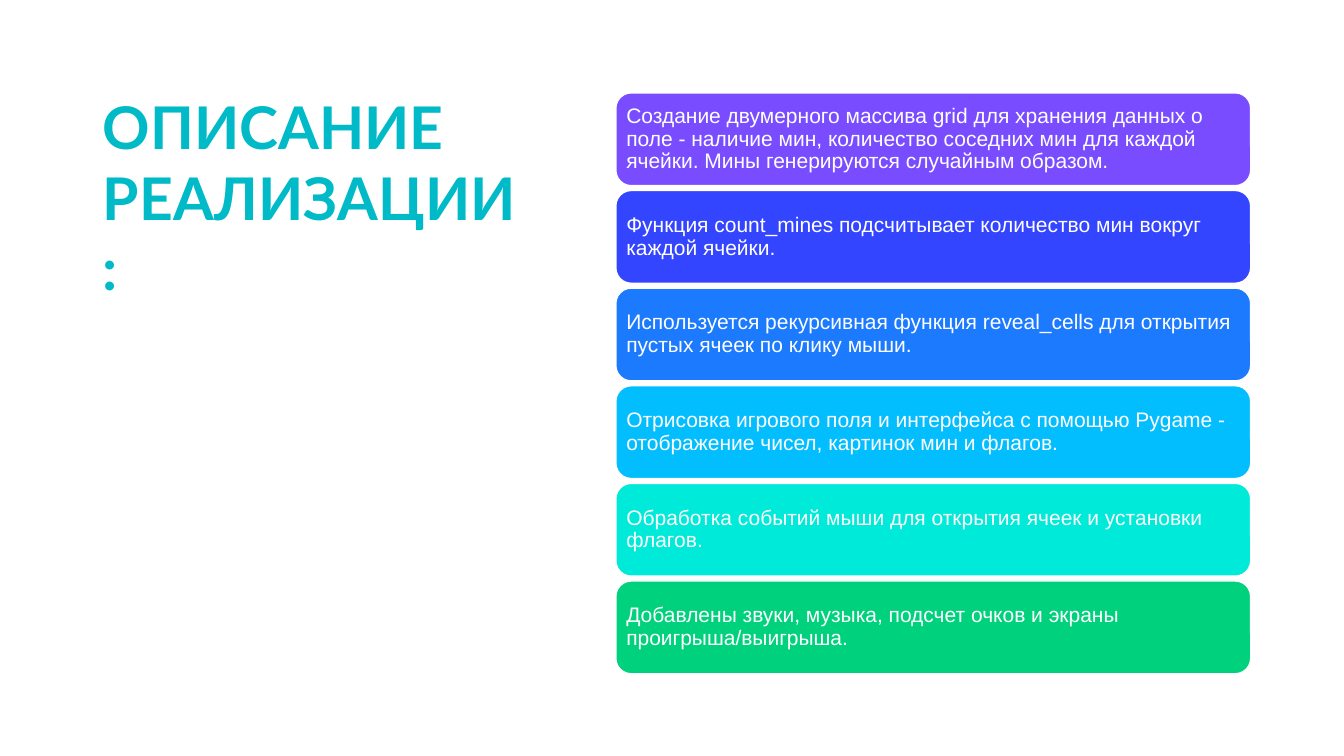
from pptx import Presentation
from pptx.dml.color import RGBColor
from pptx.enum.shapes import MSO_SHAPE
from pptx.enum.text import MSO_ANCHOR, PP_ALIGN
from pptx.util import Cm, Pt

ROUNDED = MSO_SHAPE.ROUNDED_RECTANGLE
TOP, MIDDLE = MSO_ANCHOR.TOP, MSO_ANCHOR.MIDDLE
LEFT = PP_ALIGN.LEFT

TEAL = RGBColor(0x00, 0xBA, 0xC8)
WHITE = RGBColor(0xFF, 0xFF, 0xFF)
VIOLET = RGBColor(0x79, 0x4D, 0xFF)
INDIGO = RGBColor(0x34, 0x45, 0xFF)
BLUE = RGBColor(0x1C, 0x7A, 0xFF)
SKY = RGBColor(0x03, 0xBE, 0xFF)
TURQUOISE = RGBColor(0x00, 0xEA, 0xD9)
GREEN = RGBColor(0x00, 0xD1, 0x7D)

HEADING = "ОПИСАНИЕ РЕАЛИЗАЦИИ:"
STEPS = [
    ("Создание двумерного массива grid для хранения данных о поле - наличие мин, "
     "количество соседних мин для каждой ячейки. Мины генерируются случайным образом.",
     VIOLET),
    ("Функция count_mines подсчитывает количество мин вокруг каждой ячейки.", INDIGO),
    ("Используется рекурсивная функция reveal_cells для открытия пустых ячеек "
     "по клику мыши.", BLUE),
    ("Отрисовка игрового поля и интерфейса с помощью Pygame - отображение чисел, "
     "картинок мин и флагов.", SKY),
    ("Обработка событий мыши для открытия ячеек и установки флагов.", TURQUOISE),
    ("Добавлены звуки, музыка, подсчет очков и экраны проигрыша/выигрыша.", GREEN),
]

HEADING_BOX = dict(left=Cm(2.34), top=Cm(2.16), width=Cm(11.12), height=Cm(14.99))
HEADING_FONT = dict(name="Lato", size=Pt(42), bold=True)
STEP_FONT = dict(name="Arial", size=Pt(15), bold=False)
HEADING_FRAME = dict(word_wrap=True, vertical_anchor=TOP)
STEP_INSET = Cm(0.15)
STEP_FRAME = dict(word_wrap=True, vertical_anchor=MIDDLE,
                  margin_left=STEP_INSET, margin_right=STEP_INSET,
                  margin_top=STEP_INSET, margin_bottom=STEP_INSET)

STEP_LEFT, STEP_TOP = 15.52, 2.34
STEP_WIDTH, STEP_HEIGHT, STEP_PITCH = 16, 2.34, 2.46


def set_all(target, values):
    for key, value in values.items():
        setattr(target, key, value)


def write(shape, text, frame_format, font_format, color, line_spacing):
    frame = shape.text_frame
    set_all(frame, frame_format)
    paragraph = frame.paragraphs[0]
    set_all(paragraph, dict(alignment=LEFT, line_spacing=line_spacing))
    run = paragraph.add_run()
    run.text = text
    set_all(run.font, font_format)
    run.font.color.rgb = color


def add_step(slide, index, text, color):
    step = slide.shapes.add_shape(
        ROUNDED, Cm(STEP_LEFT), Cm(STEP_TOP + index * STEP_PITCH),
        Cm(STEP_WIDTH), Cm(STEP_HEIGHT))
    step.shadow.inherit = False
    step.fill.solid()
    step.fill.fore_color.rgb = color
    step.line.color.rgb = WHITE
    step.line.width = Pt(1)
    write(step, text, STEP_FRAME, STEP_FONT, WHITE, 0.9)


def main():
    deck = Presentation()
    set_all(deck, dict(slide_width=Cm(33.87), slide_height=Cm(19.05)))
    slide = deck.slides.add_slide(deck.slide_layouts[5])
    heading = slide.shapes.title
    set_all(heading, HEADING_BOX)
    write(heading, HEADING, HEADING_FRAME, HEADING_FONT, TEAL, 1.0)
    for index, (text, color) in enumerate(STEPS):
        add_step(slide, index, text, color)
    deck.save("out.pptx")


if __name__ == "__main__":
    main()
